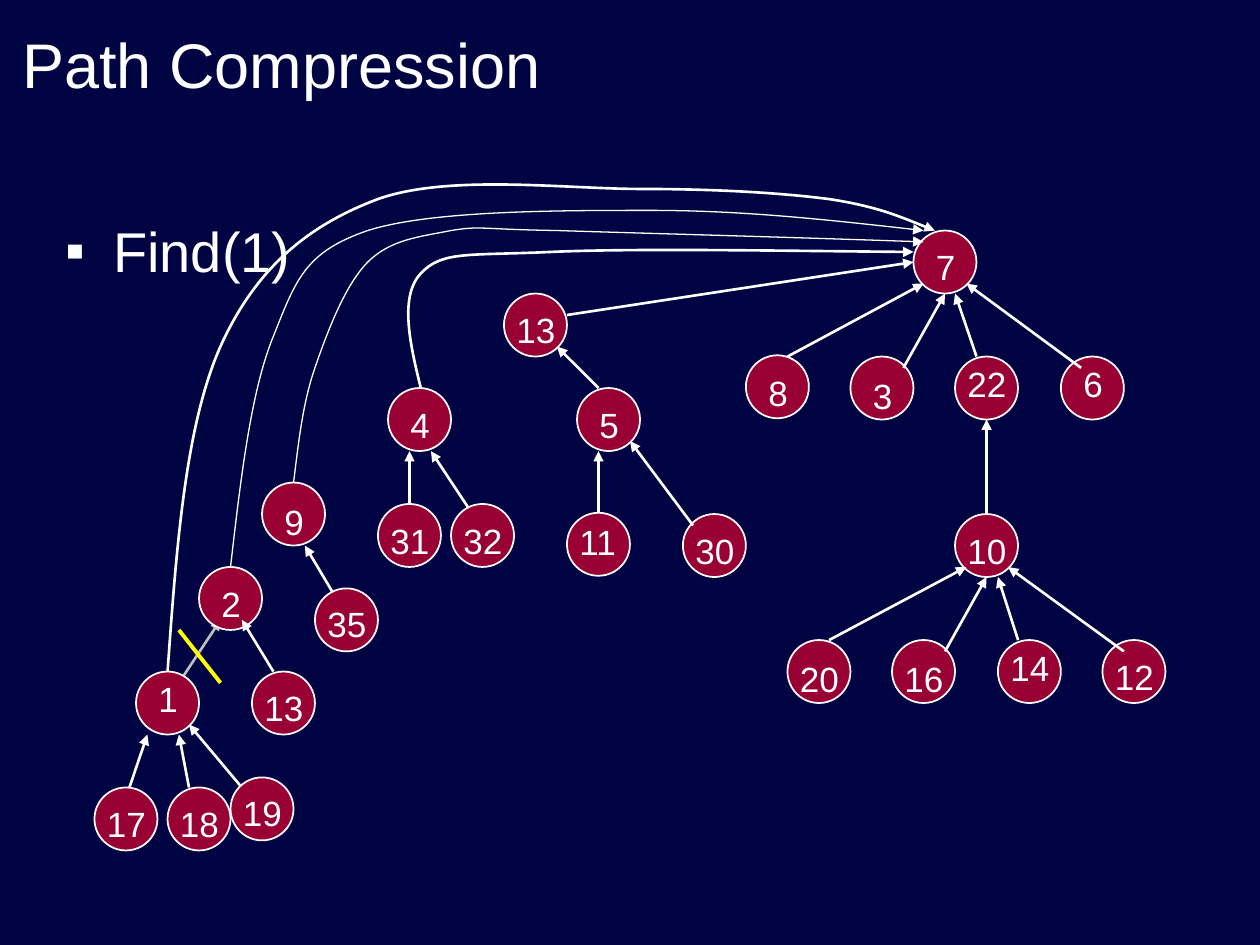
from lxml import etree
from pptx import Presentation
from pptx import util as u
from pptx.dml.color import RGBColor
from pptx.enum import shapes, text
from pptx.oxml import ns

COLORS = {
    "background": "010442",
    "white": "FFFFFF",
    "node": "990033",
    "old_edge": "C0C0C0",
    "strike": "FFFF00",
}
NODE_SIZE = 0.5

# Nodes: label, left, top, offset of the label below the top
INNER_NODES = [
    ("12", 8.75, 5.08, 0.07), ("14", 7.92, 5.08, 0), ("20", 6.25, 5.08, 0.09),
    ("10", 7.58, 4.08, 0.07), ("22", 7.58, 2.83, 0), ("7", 7.25, 1.83, 0.07),
    ("8", 5.92, 2.82, 0.08), ("3", 6.75, 2.83, 0.09), ("6", 8.42, 2.83, 0),
    ("16", 7.08, 5.08, 0.09), ("4", 3.08, 3.08, 0.07), ("2", 1.58, 4.5, 0.07),
    ("9", 2.08, 3.83, 0.09), ("30", 5.42, 4.08, 0.07), ("5", 4.58, 3.08, 0.07),
    ("13", 4, 2.33, 0.07), ("1", 1.08, 5.33, 0),
]
LEAF_NODES = [
    ("11", 4.5, 4.07, 0.01), ("31", 3, 4, 0.07), ("32", 3.58, 4, 0.07),
    ("35", 2.5, 4.67, 0.06), ("13", 2, 5.33, 0.07), ("19", 1.83, 6.17, 0.06),
    ("18", 1.33, 6.25, 0.07), ("17", 0.75, 6.25, 0.07),
]

# Straight edges, each from child to parent
EDGES = [
    # into 7
    ((6.25, 2.83), (7.33, 2.25)), ((7.17, 2.92), (7.5, 2.33)),
    ((7.75, 2.83), (7.58, 2.33)), ((8.58, 2.92), (7.67, 2.25)),
    ((4.5, 2.5), (7.25, 2.08)),
    # into 10, and from 10 into 22
    ((6.58, 5.08), (7.67, 4.5)), ((7.5, 5.17), (7.83, 4.58)),
    ((8.08, 5.08), (7.92, 4.58)), ((8.92, 5.17), (8, 4.5)),
    ((7.83, 4.08), (7.83, 3.33)),
    # into the upper 13, and into 5
    ((4.75, 3.08), (4.42, 2.75)), ((4.75, 4.08), (4.75, 3.58)),
    ((5.5, 4.17), (5, 3.5)),
    # into 1
    ((1, 6.33), (1.17, 5.83)), ((1.5, 6.25), (1.42, 5.83)),
    ((1.92, 6.25), (1.5, 5.75)),
    # into 2, 9 and 4
    ((2.17, 5.33), (1.92, 4.92)), ((2.67, 4.75), (2.42, 4.33)),
    ((3.25, 4.08), (3.25, 3.58)), ((3.75, 4.08), (3.42, 3.58)),
]

# Compressed links to the root: a start, then three Bezier points per segment
LINK_FROM_4 = [
    (3.34, 3.08), (3.25, 2.72), (3.17, 2.35), (3.34, 2.17),
    (3.51, 1.99), (3.71, 2.03), (4.36, 2), (5.01, 1.97), (6.13, 1.99), (7.25, 2),
]
LINK_FROM_9 = [
    (2.33, 3.83), (2.37, 3.52), (2.4, 3.21), (2.5, 2.92),
    (2.6, 2.63), (2.74, 2.26), (2.92, 2.08), (3.1, 1.9), (3.33, 1.88), (3.58, 1.83),
    (3.83, 1.79), (3.79, 1.82), (4.42, 1.83), (5.04, 1.85), (6.19, 1.88), (7.33, 1.92),
]
LINK_FROM_2 = [
    (1.83, 4.5), (1.91, 3.81), (1.99, 3.11), (2.17, 2.67),
    (2.35, 2.22), (2.42, 2), (2.92, 1.83), (3.42, 1.67), (4.43, 1.67), (5.17, 1.67),
    (5.9, 1.67), (6.62, 1.75), (7.33, 1.83),
]
LINK_FROM_1 = [
    (1.33, 5.33), (1.4, 4.35), (1.47, 3.38), (1.75, 2.75),
    (2.03, 2.13), (2.44, 1.79), (3, 1.58), (3.56, 1.38), (4.49, 1.5), (5.08, 1.5),
    (5.68, 1.5), (6.19, 1.53), (6.58, 1.58), (6.97, 1.64), (7.19, 1.74), (7.42, 1.83),
]


def rgb(name):
    return RGBColor.from_string(COLORS[name])


def add_child(parent, tag, **attributes):
    return etree.SubElement(parent, ns.qn(tag), attributes)


def set_line(shape, color="white", width=1.5, arrow=False):
    shape.line.color.rgb = rgb(color)
    shape.line.width = u.Pt(width)
    if arrow:
        add_child(shape.line._get_or_add_ln(), "a:tailEnd", type="triangle")


def add_bullet(para, mark, indent):
    properties = para._p.get_or_add_pPr()
    properties.set("marL", str(u.Inches(indent)))
    properties.set("indent", str(-u.Inches(indent)))
    color = add_child(properties, "a:buClr")
    add_child(color, "a:srgbClr", val=COLORS["white"])
    add_child(properties, "a:buFont", typeface="Arial")
    add_child(properties, "a:buChar", char=mark)


def add_text(page, content, left, top, width, height, size=20,
             anchor=text.MSO_ANCHOR.TOP, bullet=None):
    box = page.shapes.add_textbox(*map(u.Inches, (left, top, width, height)))
    frame = box.text_frame
    frame.word_wrap = True
    frame.vertical_anchor = anchor
    para = frame.paragraphs[0]
    if bullet:
        add_bullet(para, bullet, 0.38)
    span = para.add_run()
    span.text = content
    span.font.name = "Arial"
    span.font.size = u.Pt(size)
    span.font.color.rgb = rgb("white")


def add_node(page, label, left, top, label_offset):
    circle = page.shapes.add_shape(
        shapes.MSO_SHAPE.OVAL, u.Inches(left), u.Inches(top),
        u.Inches(NODE_SIZE), u.Inches(NODE_SIZE))
    circle.shadow.inherit = False
    circle.fill.solid()
    circle.fill.fore_color.rgb = rgb("node")
    set_line(circle, width=1)
    indent, width = (0.08, 0.33) if len(label) == 1 else (0, 0.75)
    add_text(page, label, left + indent, top + label_offset, width, 0.44)


def add_edge(page, start, end, **line_format):
    edge = page.shapes.add_connector(
        shapes.MSO_CONNECTOR.STRAIGHT, *map(u.Inches, start + end))
    set_line(edge, **line_format)
    add_child(edge._element.spPr, "a:effectLst")


def add_link(page, points, width):
    start, *others = [tuple(map(u.Inches, point)) for point in points]
    builder = page.shapes.build_freeform(*start)
    builder.add_line_segments(others, close=False)
    link = builder.convert_to_shape()
    # Turn each three straight steps into one Bezier segment
    outline = link._element.xpath(".//a:path")[0]
    steps = outline.findall(ns.qn("a:lnTo"))
    for first in range(0, len(steps), 3):
        segment = add_child(outline, "a:cubicBezTo")
        for step in steps[first:first + 3]:
            segment.append(step[0])
            outline.remove(step)
    link.shadow.inherit = False
    link.fill.background()
    set_line(link, width=width, arrow=True)


def main():
    deck = Presentation()
    deck.slide_width, deck.slide_height = u.Inches(10), u.Inches(7.5)
    page = deck.slides.add_slide(deck.slide_layouts[6])
    page.background.fill.solid()
    page.background.fill.fore_color.rgb = rgb("background")

    # Edge that the compression removes
    add_edge(page, (1.42, 5.42), (1.75, 4.92), color="old_edge", arrow=True)

    # Heading and operation
    add_text(page, "Path Compression", 0.08, 0, 9, 1, size=36,
             anchor=text.MSO_ANCHOR.MIDDLE)
    add_text(page, "Find(1)", 0.42, 1.67, 9, 0.75, size=32, bullet="▪")

    # Tree
    for node in INNER_NODES:
        add_node(page, *node)
    for start, end in EDGES:
        add_edge(page, start, end, arrow=True)
    for node in LEAF_NODES:
        add_node(page, *node)

    # Links to the root, and the strike through the removed edge
    add_link(page, LINK_FROM_4, 1.5)
    add_link(page, LINK_FROM_9, 0.75)
    add_link(page, LINK_FROM_2, 0.75)
    add_edge(page, (1.42, 5), (1.75, 5.42), color="strike", width=2.25)
    add_link(page, LINK_FROM_1, 1.5)

    deck.save("out.pptx")


if __name__ == "__main__":
    main()
